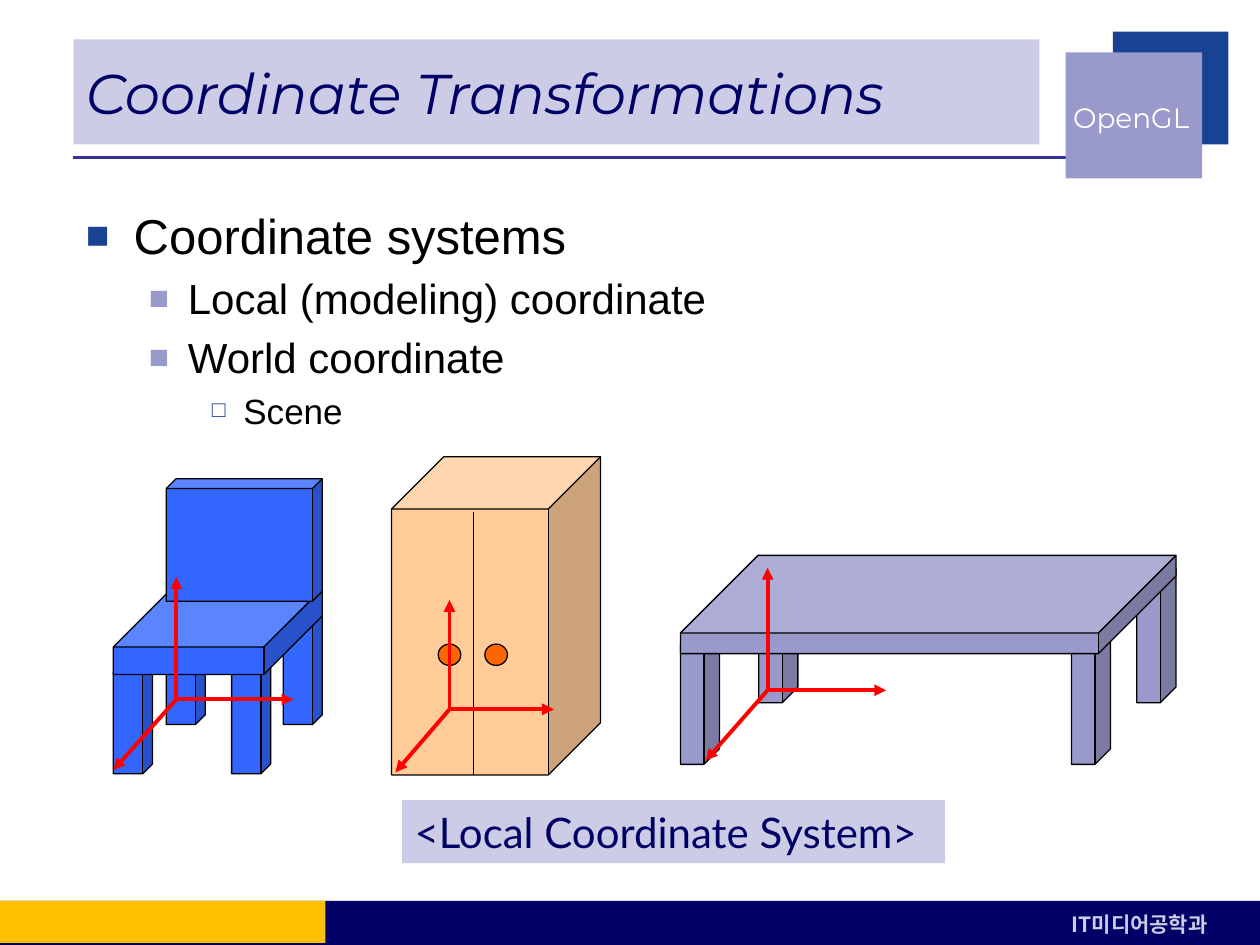
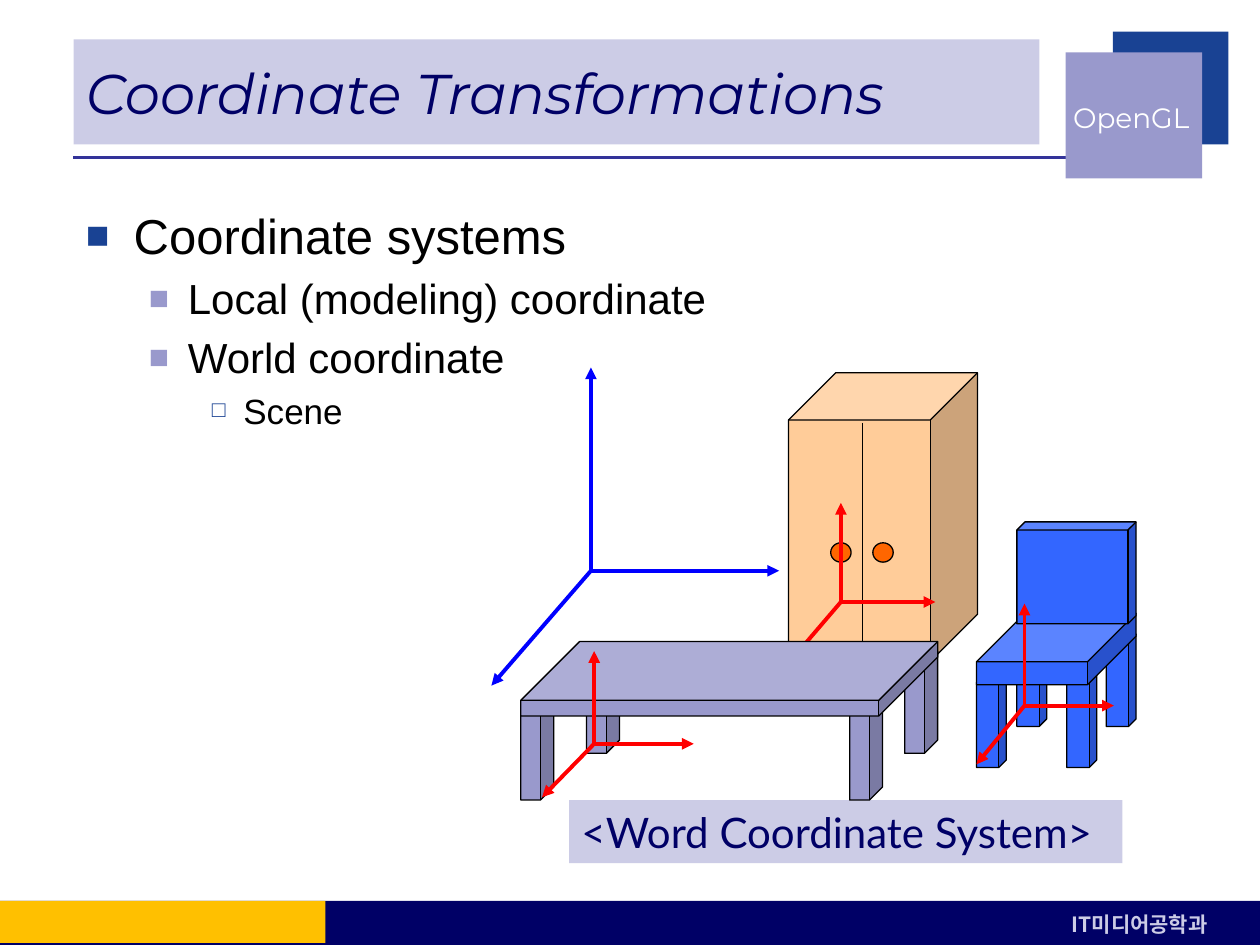
from dataclasses import dataclass
from typing import NamedTuple, Optional

from lxml.etree import SubElement
from pptx import Presentation
from pptx.dml.color import RGBColor
from pptx.enum.shapes import MSO_CONNECTOR, MSO_SHAPE
from pptx.enum.text import MSO_ANCHOR, PP_ALIGN
from pptx.oxml.ns import qn
from pptx.shapes.autoshape import Shape
from pptx.shapes.shapetree import GroupShapes
from pptx.slide import Slide
from pptx.util import Inches, Pt

# The slide is a grid of 120 columns by 90 rows, 12 to the inch
COLUMNS, ROWS = 120, 90
CELL = Inches(10) / COLUMNS

NAVY = RGBColor(0x00, 0x00, 0x66)
LAVENDER = RGBColor(0xCC, 0xCC, 0xE6)
PERIWINKLE = RGBColor(0x99, 0x99, 0xCC)
ROYAL = RGBColor(0x19, 0x42, 0x93)
INDIGO = RGBColor(0x33, 0x33, 0x99)
AMBER = RGBColor(0xFF, 0xC0, 0x00)
CHAIR_BLUE = RGBColor(0x33, 0x66, 0xFF)
WOOD = RGBColor(0xFF, 0xCC, 0x99)
KNOB_ORANGE = RGBColor(0xFF, 0x66, 0x00)
RED = RGBColor(0xFF, 0x00, 0x00)
BLUE = RGBColor(0x00, 0x00, 0xFF)
BLACK = RGBColor(0x00, 0x00, 0x00)
WHITE = RGBColor(0xFF, 0xFF, 0xFF)


class Box(NamedTuple):
    left: float
    top: float
    width: float
    height: float

    def point(self, x: float, y: float) -> tuple[float, float]:
        """Grid position of a point given in percent of this box."""
        return self.left + self.width * x / 100, self.top + self.height * y / 100

    def place(self, inner: "Box") -> "Box":
        """Grid box of a piece given in percent of this box."""
        return Box(*self.point(inner.left, inner.top),
                   self.width * inner.width / 100, self.height * inner.height / 100)


FULL = Box(0, 0, 100, 100)


@dataclass(frozen=True)
class TextStyle:
    font: str
    size: int
    color: RGBColor
    bold: bool = False
    italic: bool = False


TITLE = TextStyle("Montserrat", 32, NAVY, italic=True)
BADGE = TextStyle("Montserrat", 16, WHITE)
FOOTER = TextStyle("Noto Sans CJK KR", 12, LAVENDER, bold=True)
CAPTION = TextStyle("Lato", 24, NAVY)


@dataclass(frozen=True)
class BulletLevel:
    style: TextStyle
    margin: float
    hanging: float
    mark: str
    color: RGBColor
    mark_percent: int


LEVELS = [
    BulletLevel(TextStyle("Arial", 28, BLACK), 0.38, 0.38, "■", ROYAL, 80),
    BulletLevel(TextStyle("Arial", 24, BLACK), 0.81, 0.31, "■", PERIWINKLE, 80),
    BulletLevel(TextStyle("Arial", 20, BLACK), 1.25, 0.25, "□", ROYAL, 65),
]
OUTLINE = [
    (0, "Coordinate systems"),
    (1, "Local (modeling) coordinate"),
    (1, "World coordinate"),
    (2, "Scene"),
]


@dataclass(frozen=True)
class Axes:
    """Three arrows from one origin, in percent of the model's box."""
    x: float
    y: float
    up: float
    right: float
    out: tuple[float, float]


@dataclass(frozen=True)
class Cube:
    box: Box
    depth: float


@dataclass(frozen=True)
class Model:
    """A piece of furniture, laid out in percent of its box."""
    color: RGBColor
    cubes: list[Cube]
    axes: Axes
    knobs: tuple[Box, ...] = ()
    door_gap: Optional[tuple[float, float]] = None


def legs(corners: list[tuple[float, float]], width: float, height: float,
         depth: float) -> list[Cube]:
    return [Cube(Box(x, y, width, height), depth) for x, y in corners]


CHAIR = Model(
    CHAIR_BLUE,
    legs([(0, 62.4), (25.3, 45.7), (81.3, 45.7), (56.6, 62.4)], 18.7, 37.6, 0.25)
    + [Cube(Box(0, 37.2, 100, 29.1), 0.68), Cube(Box(25.3, 0, 74.7, 41.5), 0.08)],
    Axes(30.1, 74.8, 33.3, 86.1, (0, 98.7)),
)
TABLE = Model(
    PERIWINKLE,
    legs([(78.9, 35.5), (92.1, 6), (15.8, 6), (0, 35.5)], 7.9, 64.5, 0.4)
    + [Cube(Box(0, 0, 100, 47), 0.79)],
    Axes(17.6, 64.5, 6, 41.5, (5.1, 98.2)),
)
WARDROBE = Model(
    WOOD,
    [Cube(FULL, 0.25)],
    Axes(27.7, 79.4, 45.1, 77.7, (1.8, 99.2)),
    knobs=(Box(44.6, 58.9, 10.8, 6.7), Box(22.3, 58.9, 10.8, 6.7)),
    door_gap=(39.2, 17.4),
)
WORLD_AXES = Axes(34.6, 63.9, 0, 100, (0, 100))


def cells(*values: float) -> list[int]:
    return [round(value * CELL) for value in values]


def add_block(shapes: GroupShapes, kind: MSO_SHAPE, box: Box, fill: RGBColor,
              line: Optional[RGBColor] = None) -> Shape:
    shape = shapes.add_shape(kind, *cells(*box))
    shape.shadow.inherit = False
    shape.fill.solid()
    shape.fill.fore_color.rgb = fill
    if line is None:
        shape.line.fill.background()
    else:
        shape.line.color.rgb = line
        shape.line.width = Pt(0.75)
    return shape


def add_line(shapes: GroupShapes, start: tuple[float, float], end: tuple[float, float],
             color: RGBColor, width: float, arrow: bool = False) -> None:
    connector = shapes.add_connector(MSO_CONNECTOR.STRAIGHT, *cells(*start, *end))
    connector.line.color.rgb = color
    connector.line.width = Pt(width)
    properties = connector.element.spPr
    if arrow:
        SubElement(properties.find(qn("a:ln")), qn("a:tailEnd"), type="triangle")
    SubElement(properties, qn("a:effectLst"))


def format_runs(paragraph, style: TextStyle) -> None:
    for run in paragraph.runs:
        font = run.font
        font.name, font.size = style.font, Pt(style.size)
        font.bold, font.italic = style.bold, style.italic
        font.color.rgb = style.color
        SubElement(run._r.get_or_add_rPr(), qn("a:ea"), typeface=style.font)


def write(shape: Shape, text: str, style: TextStyle, align: PP_ALIGN = PP_ALIGN.LEFT,
          anchor: MSO_ANCHOR = MSO_ANCHOR.MIDDLE, wrap: bool = True) -> None:
    frame = shape.text_frame
    frame.text = text
    frame.word_wrap = wrap
    frame.vertical_anchor = anchor
    frame.paragraphs[0].alignment = align
    format_runs(frame.paragraphs[0], style)


def set_bullet(paragraph, level: BulletLevel) -> None:
    properties = paragraph._p.get_or_add_pPr()
    properties.set("marL", str(Inches(level.margin)))
    properties.set("indent", str(-Inches(level.hanging)))
    before = SubElement(properties, qn("a:spcBef"))
    SubElement(before, qn("a:spcPct"), val="20000")
    color = SubElement(properties, qn("a:buClr"))
    SubElement(color, qn("a:srgbClr"), val=str(level.color))
    SubElement(properties, qn("a:buSzPct"), val=str(level.mark_percent * 1000))
    SubElement(properties, qn("a:buFont"), typeface="Arial")
    SubElement(properties, qn("a:buChar"), char=level.mark)


def add_axes(shapes: GroupShapes, axes: Axes, box: Box, color: RGBColor) -> None:
    for tip in ((axes.x, axes.up), (axes.right, axes.y), axes.out):
        add_line(shapes, box.point(axes.x, axes.y), box.point(*tip), color, 2.25, arrow=True)


def add_model(slide: Slide, model: Model, box: Box) -> None:
    shapes = slide.shapes.add_group_shape().shapes
    for cube in model.cubes:
        shape = add_block(shapes, MSO_SHAPE.CUBE, box.place(cube.box), model.color, BLACK)
        shape.adjustments[0] = cube.depth
    if model.door_gap:
        x, top = model.door_gap
        add_line(shapes, box.point(x, top), box.point(x, 100), BLACK, 0.75)
    for knob in model.knobs:
        add_block(shapes, MSO_SHAPE.OVAL, box.place(knob), KNOB_ORANGE, BLACK)
    add_axes(shapes, model.axes, box, RED)


def add_frame(slide: Slide) -> None:
    """Rule, corner badge and footer band."""
    shapes, rectangle = slide.shapes, MSO_SHAPE.RECTANGLE
    add_line(shapes, (7, 15), (102, 15), INDIGO, 2.25)
    add_block(shapes, rectangle, Box(106, 3, 11, 10.75), ROYAL)
    add_block(shapes, rectangle, Box(101.5, 5, 13, 12), PERIWINKLE)
    badge = shapes.add_textbox(*cells(101, 7.2, 13.45, 8))
    write(badge, "OpenGL", BADGE, align=PP_ALIGN.RIGHT, wrap=False)
    add_block(shapes, rectangle, Box(0, 85.8, COLUMNS, ROWS - 85.8), NAVY)
    department = add_block(shapes, rectangle, Box(100.9, 86.2, 19, 3.6), NAVY)
    write(department, "IT미디어공학과", FOOTER, anchor=MSO_ANCHOR.TOP)
    add_block(shapes, rectangle, Box(0, 85.8, 31, 4), AMBER)


def add_content(slide: Slide, caption: str, caption_box: Box) -> None:
    """Title, bulleted outline and caption."""
    title = add_block(slide.shapes, MSO_SHAPE.RECTANGLE, Box(7, 3.75, 92, 10), LAVENDER)
    write(title, "Coordinate Transformations", TITLE)
    frame = slide.shapes.add_textbox(*cells(7, 19, 107, 62)).text_frame
    frame.word_wrap = True
    for index, (depth, text) in enumerate(OUTLINE):
        paragraph = frame.add_paragraph() if index else frame.paragraphs[0]
        paragraph.text = text
        set_bullet(paragraph, LEVELS[depth])
        format_runs(paragraph, LEVELS[depth].style)
    label = add_block(slide.shapes, MSO_SHAPE.RECTANGLE, caption_box, LAVENDER)
    write(label, caption, CAPTION)


presentation = Presentation()
presentation.slide_width, presentation.slide_height = cells(COLUMNS, ROWS)
blank = presentation.slide_layouts[6]

# Slide 1: each object in its own coordinates
local_slide = presentation.slides.add_slide(blank)
add_frame(local_slide)
add_content(local_slide, "<Local Coordinate System>", Box(38.3, 76.2, 51.7, 6))
add_model(local_slide, CHAIR, Box(10.8, 45.6, 19.9, 28.1))
add_model(local_slide, TABLE, Box(64.8, 52.9, 47.2, 19.9))
add_model(local_slide, WARDROBE, Box(37.3, 43.5, 19.9, 30.3))

# Slide 2: all objects placed in one world, the wardrobe behind the table
world_slide = presentation.slides.add_slide(blank)
add_frame(world_slide)
add_model(world_slide, WARDROBE, Box(75.1, 35.5, 18, 27.5))
add_content(world_slide, "<Word Coordinate System>", Box(54.2, 76.2, 52.7, 6))
world = world_slide.shapes.add_group_shape().shapes
add_axes(world, WORLD_AXES, Box(46.8, 35, 27.4, 30.3), BLUE)
add_model(world_slide, CHAIR, Box(93, 49.7, 15.2, 23.4))
add_model(world_slide, TABLE, Box(49.6, 61.1, 39.7, 15.1))

presentation.save("out.pptx")
